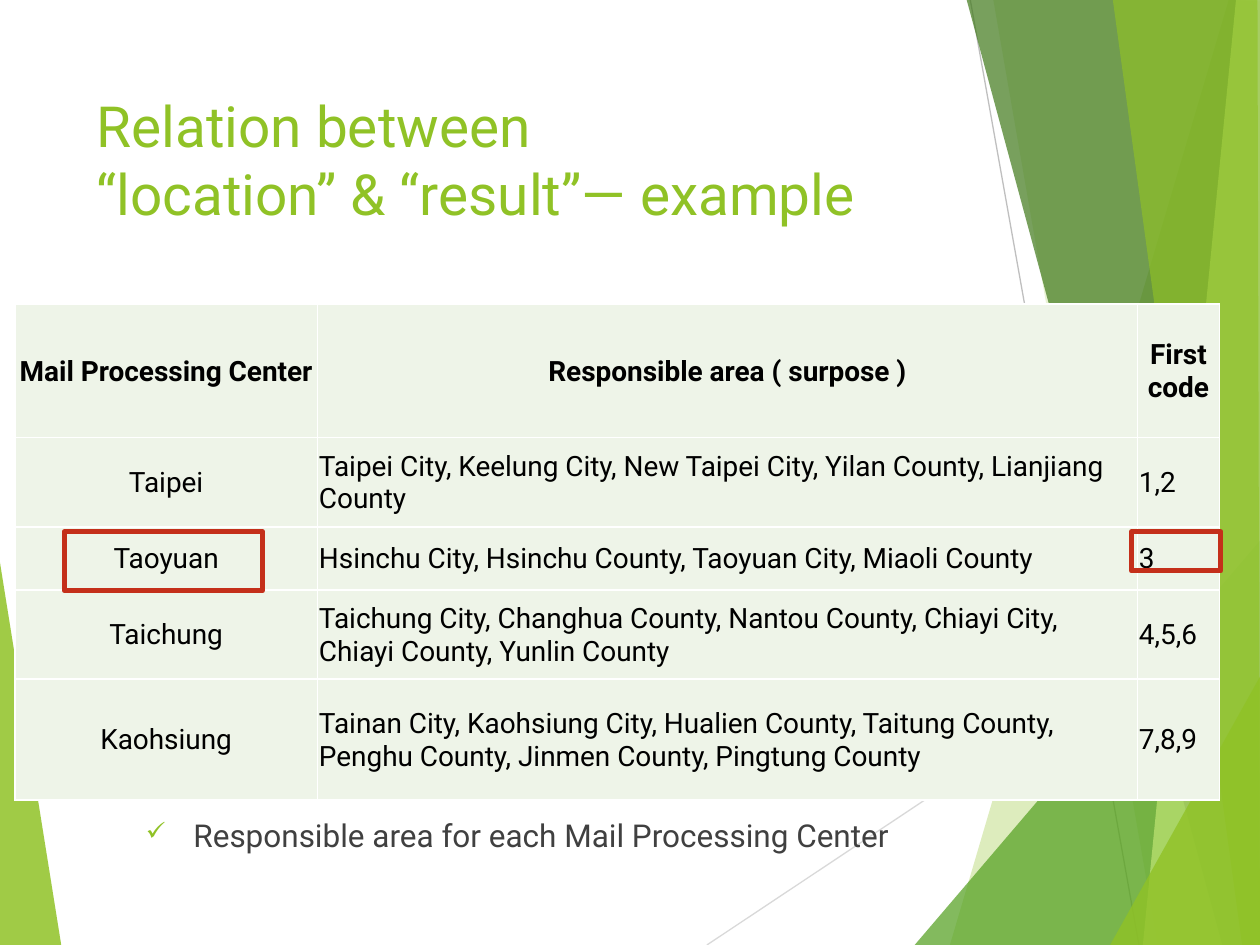
from dataclasses import dataclass

from lxml import etree
from pptx import Presentation
from pptx.dml.color import RGBColor
from pptx.enum.shapes import MSO_CONNECTOR, MSO_SHAPE
from pptx.enum.text import MSO_ANCHOR, PP_ALIGN
from pptx.oxml.ns import qn
from pptx.util import Cm, Pt

STRAIGHT = MSO_CONNECTOR.STRAIGHT
RECTANGLE = MSO_SHAPE.RECTANGLE
TOP, MIDDLE = MSO_ANCHOR.TOP, MSO_ANCHOR.MIDDLE
LEFT, CENTER = PP_ALIGN.LEFT, PP_ALIGN.CENTER


@dataclass(frozen=True)
class Theme:
    font: str = "Roboto"
    green: str = "90C226"
    mid_green: str = "54A021"
    dark_green: str = "3F7819"
    pale_green: str = "C0E474"
    cell: str = "EEF4E8"
    border: str = "FFFFFF"
    table_text: str = "000000"
    body_text: str = "404040"
    highlight: str = "C42F1A"
    light_line: str = "D9D9D9"
    grey_line: str = "BFBFBF"
    title_size: float = 32.4
    body_size: float = 18
    table_size: float = 16


THEME = Theme()
WIDTH, HEIGHT = 25.4, 19.05
EDGE, ABOVE = 25.43, -0.03

LEFT_WEDGE = ([(-0.03, 11.15), (1.24, 19.08), (-0.03, HEIGHT)], THEME.green, 85)
RIGHT_WEDGES = [
    ([(24.77, 0), (19.15, HEIGHT), (25.45, 19.08), (EDGE, 0.03)], THEME.green, 30),
    ([(20.02, ABOVE), (23.34, HEIGHT), (EDGE, HEIGHT), (EDGE, ABOVE)], THEME.green, 20),
    ([(18.44, HEIGHT), (WIDTH, 10.9), (EDGE, HEIGHT)], THEME.mid_green, 72),
    ([(19.48, ABOVE), (24.64, HEIGHT), (EDGE, HEIGHT), (EDGE, ABOVE)], THEME.dark_green, 70),
    ([(24.92, ABOVE), (23.04, HEIGHT), (EDGE, HEIGHT), (WIDTH, ABOVE)], THEME.pale_green, 70),
    ([(22.43, ABOVE), (25.04, HEIGHT), (WIDTH, HEIGHT), (25.35, ABOVE)], THEME.green, 65),
    ([(22.38, HEIGHT), (EDGE, 13.59), (EDGE, HEIGHT)], THEME.green, 80),
]
BACKGROUND_LINES = [
    ((14.25, HEIGHT), (EDGE, 11.61), THEME.light_line),
    ((19.56, 0), (22.96, HEIGHT), THEME.grey_line),
]

COLUMN_WIDTHS = [6.1, 16.53, 1.65]
ROW_HEIGHTS = [2.69, 1.8, 1.27, 1.8, 2.44]
TABLE_ROWS = [
    ["Mail Processing Center", "Responsible area ( surpose )", "First code"],
    ["Taipei", "Taipei City, Keelung City, New Taipei City, Yilan County, Lianjiang County", "1,2"],
    ["Taoyuan", "Hsinchu City, Hsinchu County, Taoyuan City, Miaoli County", "3"],
    ["Taichung", "Taichung City, Changhua County, Nantou County, Chiayi City, "
                 "Chiayi County, Yunlin County", "4,5,6"],
    ["Kaohsiung", "Tainan City, Kaohsiung City, Hualien County, Taitung County, "
                  "Penghu County, Jinmen County, Pingtung County", "7,8,9"],
]


def color(value):
    return RGBColor.from_string(value)


def format_runs(paragraph, size, text_color, bold=False):
    for run in paragraph.runs:
        run.font.name = THEME.font
        run.font.size = Pt(size)
        run.font.bold = bold
        run.font.color.rgb = color(text_color)


def add_wedge(slide, points, fill, opacity):
    """Draw a borderless polygon with opacity in percent."""
    vertices = [(Cm(x), Cm(y)) for x, y in points]
    builder = slide.shapes.build_freeform(*vertices[0])
    builder.add_line_segments(vertices[1:], close=True)
    shape = builder.convert_to_shape()
    shape.shadow.inherit = False
    shape.fill.solid()
    shape.fill.fore_color.rgb = color(fill)
    shape.line.fill.background()
    fill_color = shape.fill._xPr.find(qn("a:solidFill"))[0]
    etree.SubElement(fill_color, qn("a:alpha"), val=str(opacity * 1000))


def add_line(slide, start, end, line_color):
    line = slide.shapes.add_connector(STRAIGHT, *map(Cm, start + end))
    line.line.color.rgb = color(line_color)
    line.line.width = Pt(0.75)
    etree.SubElement(line._element.spPr, qn("a:effectLst"))


def add_text(slide, text, left, top, width, height, size, text_color):
    frame = slide.shapes.add_textbox(Cm(left), Cm(top), Cm(width), Cm(height)).text_frame
    frame.word_wrap = True
    frame.vertical_anchor = TOP
    frame.text = text
    paragraph = frame.paragraphs[0]
    format_runs(paragraph, size, text_color)
    return paragraph


def add_check_bullet(paragraph):
    properties = paragraph._p.get_or_add_pPr()
    properties.set("marL", str(Cm(0.96)))
    properties.set("indent", str(-Cm(0.96)))
    bullet_color = etree.SubElement(properties, qn("a:buClr"))
    etree.SubElement(bullet_color, qn("a:srgbClr"), val=THEME.green)
    etree.SubElement(properties, qn("a:buSzPct"), val="80000")
    etree.SubElement(properties, qn("a:buChar"), char="✓")


def add_borders(cell):
    """Put borders ahead of the fill, as the schema asks."""
    properties = cell._tc.get_or_add_tcPr()
    for position, side in enumerate(("lnL", "lnR", "lnT", "lnB")):
        border = etree.Element(qn(f"a:{side}"), w=str(Pt(1)))
        fill = etree.SubElement(border, qn("a:solidFill"))
        etree.SubElement(fill, qn("a:srgbClr"), val=THEME.border)
        properties.insert(position, border)


def fill_cell(cell, text, alignment, bold):
    cell.text = text
    cell.vertical_anchor = MIDDLE
    cell.margin_left = cell.margin_right = cell.margin_top = Cm(0.03)
    cell.margin_bottom = 0
    cell.fill.solid()
    cell.fill.fore_color.rgb = color(THEME.cell)
    add_borders(cell)
    paragraph = cell.text_frame.paragraphs[0]
    paragraph.alignment = alignment
    format_runs(paragraph, THEME.table_size, THEME.table_text, bold)


def add_center_table(slide):
    table = slide.shapes.add_table(
        len(ROW_HEIGHTS), len(COLUMN_WIDTHS), Cm(0.3), Cm(6.13),
        Cm(sum(COLUMN_WIDTHS)), Cm(sum(ROW_HEIGHTS))).table
    table.first_row = table.horz_banding = False
    for column, width in zip(table.columns, COLUMN_WIDTHS):
        column.width = Cm(width)
    for row, height in zip(table.rows, ROW_HEIGHTS):
        row.height = Cm(height)
    for row_index, texts in enumerate(TABLE_ROWS):
        header = row_index == 0
        for column_index, text in enumerate(texts):
            alignment = CENTER if header or column_index == 0 else LEFT
            fill_cell(table.cell(row_index, column_index), text, alignment, header)


def add_highlight(slide, left, top, width, height):
    shape = slide.shapes.add_shape(RECTANGLE, Cm(left), Cm(top), Cm(width), Cm(height))
    shape.shadow.inherit = False
    shape.fill.background()
    shape.line.color.rgb = color(THEME.highlight)
    shape.line.width = Pt(3)
    etree.SubElement(shape.line._get_or_add_ln(), qn("a:round"))


def main():
    presentation = Presentation()
    presentation.slide_width, presentation.slide_height = Cm(WIDTH), Cm(HEIGHT)
    slide = presentation.slides.add_slide(presentation.slide_layouts[6])

    add_wedge(slide, *LEFT_WEDGE)
    for line in BACKGROUND_LINES:
        add_line(slide, *line)
    for wedge in RIGHT_WEDGES:
        add_wedge(slide, *wedge)

    add_text(slide, "Relation between \v“location” & “result”— example",
             1.7, 1.7, 17.63, 3.66, THEME.title_size, THEME.green)
    add_center_table(slide)
    caption = add_text(slide, "Responsible area for each Mail Processing Center",
                       2.69, 16.33, 18.87, 1.83, THEME.body_size, THEME.body_text)
    add_check_bullet(caption)
    add_highlight(slide, 1.3, 10.72, 3.99, 1.19)
    add_highlight(slide, 22.81, 10.72, 1.8, 0.79)
    presentation.save("out.pptx")


if __name__ == "__main__":
    main()
